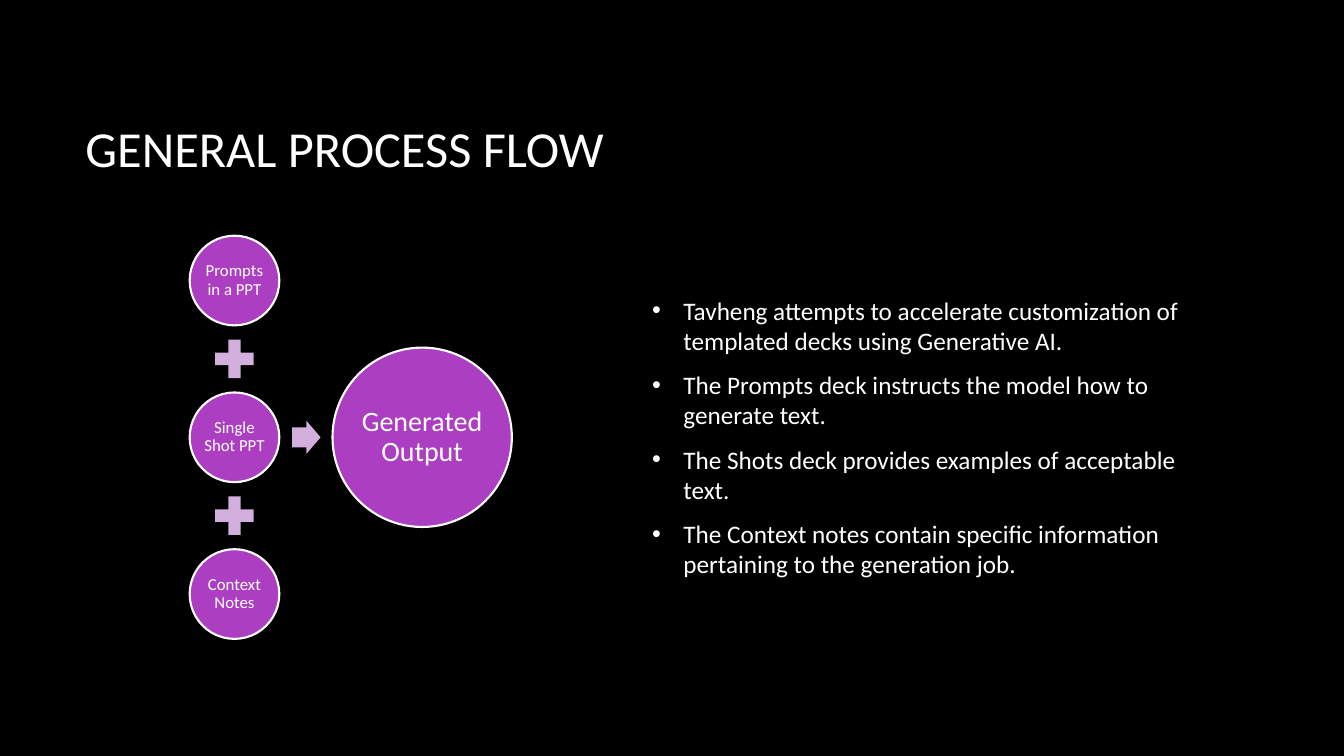
from lxml import etree
from pptx import Presentation
from pptx.dml.color import RGBColor
from pptx.enum.shapes import MSO_SHAPE
from pptx.enum.text import MSO_ANCHOR, MSO_AUTO_SIZE, PP_ALIGN
from pptx.oxml.ns import qn
from pptx.util import Cm, Pt

CIRCLE, PLUS, ARROW = MSO_SHAPE.OVAL, MSO_SHAPE.MATH_PLUS, MSO_SHAPE.RIGHT_ARROW
MIDDLE = MSO_ANCHOR.MIDDLE
NO_FIT = MSO_AUTO_SIZE.NONE
LEFT, CENTER = PP_ALIGN.LEFT, PP_ALIGN.CENTER

COLOURS = {
    "background": "000000",
    "text": "FFFFFF",
    "circle": "AC3EC1",
    "operator": "D2AFDD",
}
FONT = "Calibri"

INPUTS = ["Prompts in a PPT", "Single Shot PPT", "Context Notes"]
POINTS = [
    "Tavheng attempts to accelerate customization of templated decks using Generative AI.",
    "The Prompts deck instructs the model how to generate text.",
    "The Shots deck provides examples of acceptable text.",
    "The Context notes contain specific information pertaining to the generation job.",
]

# Lengths in centimetres
INPUT_X, FIRST_INPUT_Y, INPUT_PITCH = 5.91, 7.07, 3.95
INPUT_SIZE, OUTPUT_SIZE, PLUS_SIZE = 2.26, 4.52, 1.32
ARROW_X, OUTPUT_X = 7.72, 10.64
BULLET_INDENT = 0.79


def colour(name):
    return RGBColor.from_string(COLOURS[name])


class FlowSlide:
    def __init__(self, deck):
        self.slide = deck.slides.add_slide(deck.slide_layouts[1])
        fill = self.slide.background.fill
        fill.solid()
        fill.fore_color.rgb = colour("background")

    def add_text(self, paragraph, text, size, align):
        paragraph.alignment = align
        run = paragraph.add_run()
        run.text = text
        run.font.name = FONT
        run.font.size = Pt(size)
        run.font.color.rgb = colour("text")

    def place(self, placeholder, left, top, width, height):
        placeholder.left, placeholder.top = Cm(left), Cm(top)
        placeholder.width, placeholder.height = Cm(width), Cm(height)
        frame = placeholder.text_frame
        frame.word_wrap = True
        frame.auto_size = NO_FIT
        frame.vertical_anchor = MIDDLE
        return frame

    def title(self, text, *box):
        frame = self.place(self.slide.shapes.title, *box)
        self.add_text(frame.paragraphs[0], text, 36, LEFT)

    def bullets(self, points, *box):
        frame = self.place(self.slide.placeholders[1], *box)
        for index, point in enumerate(points):
            paragraph = frame.add_paragraph() if index else frame.paragraphs[0]
            paragraph.space_before = Pt(0)
            paragraph.space_after = Pt(10)
            self.add_text(paragraph, point, 18, LEFT)
            self.add_bullet(paragraph)

    def add_bullet(self, paragraph):
        properties = paragraph._p.get_or_add_pPr()
        properties.set("marL", str(Cm(BULLET_INDENT)))
        properties.set("indent", str(-Cm(BULLET_INDENT)))
        bullet_colour = etree.SubElement(properties, qn("a:buClr"))
        etree.SubElement(bullet_colour, qn("a:srgbClr"), val=COLOURS["text"])
        etree.SubElement(properties, qn("a:buFont"), typeface="Arial")
        etree.SubElement(properties, qn("a:buChar"), char="•")

    def centred_shape(self, kind, x, y, width, height, fill):
        """Add a flat shape whose centre is at x, y."""
        shape = self.slide.shapes.add_shape(
            kind, Cm(x - width / 2), Cm(y - height / 2), Cm(width), Cm(height))
        shape.shadow.inherit = False
        shape.fill.solid()
        shape.fill.fore_color.rgb = colour(fill)
        shape.line.fill.background()
        return shape

    def circle(self, text, x, y, diameter, size, inset):
        shape = self.centred_shape(CIRCLE, x, y, diameter, diameter, "circle")
        shape.line.color.rgb = colour("text")
        shape.line.width = Pt(1.5)
        frame = shape.text_frame
        frame.word_wrap = True
        frame.vertical_anchor = MIDDLE
        frame.margin_left = frame.margin_right = Cm(inset)
        frame.margin_top = frame.margin_bottom = Cm(inset)
        label = frame.paragraphs[0]
        label.line_spacing = 0.9
        self.add_text(label, text, size, CENTER)

    def plus(self, x, y):
        self.centred_shape(PLUS, x, y, PLUS_SIZE, PLUS_SIZE, "operator")

    def arrow(self, x, y):
        shape = self.centred_shape(ARROW, x, y, 0.72, 0.84, "operator")
        shape.adjustments[0] = 0.6
        shape.adjustments[1] = 0.5


def main():
    deck = Presentation()
    deck.slide_width, deck.slide_height = Cm(33.87), Cm(19.05)
    flow = FlowSlide(deck)
    flow.title("GENERAL PROCESS FLOW", 1.9, 1.7, 28.15, 4.04)

    for index, source in enumerate(INPUTS):
        y = FIRST_INPUT_Y + index * INPUT_PITCH
        if index:
            flow.plus(INPUT_X, y - INPUT_PITCH / 2)
        flow.circle(source, INPUT_X, y, INPUT_SIZE, 12, 0.04)

    middle_y = FIRST_INPUT_Y + INPUT_PITCH
    flow.arrow(ARROW_X, middle_y)
    flow.circle("Generated Output", OUTPUT_X, middle_y, OUTPUT_SIZE, 20, 0.07)

    flow.bullets(POINTS, 16.18, 5.94, 13.87, 10.14)
    deck.save("out.pptx")


if __name__ == "__main__":
    main()
